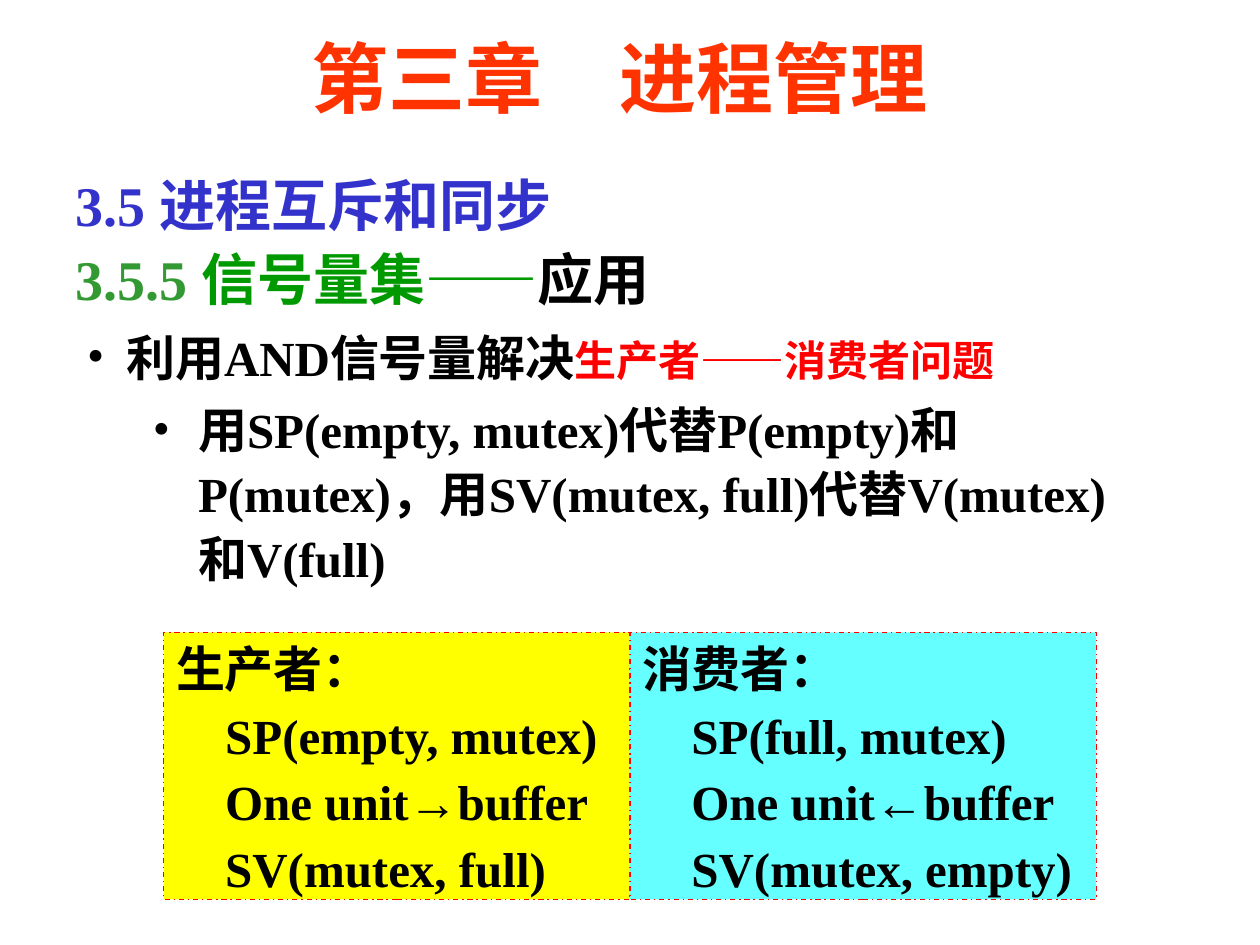
"""Build the slide on solving the producer-consumer problem with semaphore sets."""
from lxml import etree
from pptx import Presentation
from pptx.dml.color import RGBColor
from pptx.enum.dml import MSO_LINE
from pptx.enum.shapes import MSO_SHAPE
from pptx.enum.text import MSO_ANCHOR, MSO_AUTO_SIZE, PP_ALIGN
from pptx.oxml.ns import qn
from pptx.util import Cm, Pt

DASH_DOT = MSO_LINE.DASH_DOT
RECTANGLE = MSO_SHAPE.RECTANGLE
TOP, MIDDLE = MSO_ANCHOR.TOP, MSO_ANCHOR.MIDDLE
NO_FIT = MSO_AUTO_SIZE.NONE
LEFT, CENTER = PP_ALIGN.LEFT, PP_ALIGN.CENTER

COLORS = {
    "title": "FF3300", "section": "3333CC", "number": "339933", "topic": "009900",
    "text": "000000", "accent": "FF0000", "producer": "FFFF00", "consumer": "66FFFF",
}


def add_text(para, text, size=28, color="text"):
    for index, line in enumerate(text.split("\n")):
        if index:
            para.add_line_break()
        span = para.add_run()
        span.text = line
        span.font.name = "Times New Roman"
        span.font.size = Pt(size)
        span.font.bold = True
        span.font.color.rgb = RGBColor.from_string(COLORS[color])


def format_para(para, align=LEFT, before=0, spacing=1.0, margin=0, hanging=0, bullet=None):
    para.alignment = align
    para.space_before = Pt(before)
    para.space_after = Pt(0)
    para.line_spacing = spacing
    props = para._p.get_or_add_pPr()
    props.set("marL", str(Cm(margin)))
    props.set("indent", str(Cm(-hanging)))
    if bullet:
        etree.SubElement(props, qn("a:buFont")).set("typeface", "Times New Roman")
        etree.SubElement(props, qn("a:buChar")).set("char", bullet)


deck = Presentation()
deck.slide_width, deck.slide_height = Cm(25.4), Cm(19.05)
page = deck.slides.add_slide(deck.slide_layouts[1])

title = page.shapes.title
title.left, title.top, title.width, title.height = Cm(2.97), Cm(0.18), Cm(19.05), Cm(2.74)
title.text_frame.vertical_anchor = MIDDLE
title.text_frame.auto_size = NO_FIT
para = title.text_frame.paragraphs[0]
format_para(para, align=CENTER)
add_text(para, "第三章　进程管理", size=44, color="title")

heading = page.shapes.add_textbox(Cm(1.27), Cm(3.18), Cm(23.06), Cm(3.23))
heading.text_frame.word_wrap = True
para = heading.text_frame.paragraphs[0]
format_para(para, spacing=1.1)
for text, color in [
    ("3.5 进程互斥和同步\n", "section"), ("3.5.5 ", "number"),
    ("信号量集——", "topic"), ("应用", "text"),
]:
    add_text(para, text, size=32, color=color)

body = page.placeholders[1]
body.left, body.top, body.width, body.height = Cm(1.5), Cm(6.35), Cm(21.41), Cm(5.66)
body.text_frame.vertical_anchor = TOP
body.text_frame.auto_size = NO_FIT
para = body.text_frame.paragraphs[0]
format_para(para, spacing=1.1, margin=0.79, hanging=0.79, bullet="•")
add_text(para, "利用AND信号量解决")
add_text(para, "生产者——消费者问题", size=24, color="accent")
para = body.text_frame.add_paragraph()
para.level = 1
format_para(para, before=4.2, spacing=1.1, margin=2.24, hanging=0.91, bullet="•")
add_text(para, "用SP(empty, mutex)代替P(empty)和P(mutex)，用SV(mutex, full)代替V(mutex)和V(full)")

PANELS = [
    ("producer", "生产者：", ["SP(empty, mutex)", "One unit→buffer", "SV(mutex, full)"]),
    ("consumer", "消费者：", ["SP(full, mutex)", "One unit←buffer", "SV(mutex, empty)"]),
]
PANEL_WIDTH = 9.4
for column, (role, label, steps) in enumerate(PANELS):
    box = page.shapes.add_shape(
        RECTANGLE, Cm(3.3 + column * PANEL_WIDTH), Cm(12.75), Cm(PANEL_WIDTH), Cm(5.38))
    box.shadow.inherit = False
    box.fill.solid()
    box.fill.fore_color.rgb = RGBColor.from_string(COLORS[role])
    box.line.color.rgb = RGBColor.from_string(COLORS["accent"])
    box.line.width = Pt(0.75)
    box.line.dash_style = DASH_DOT
    frame = box.text_frame
    frame.word_wrap = True
    frame.vertical_anchor = TOP
    format_para(frame.paragraphs[0])
    add_text(frame.paragraphs[0], label)
    for step in steps:
        para = frame.add_paragraph()
        format_para(para, before=4.4, margin=0.99)
        add_text(para, step)

deck.save("out.pptx")
